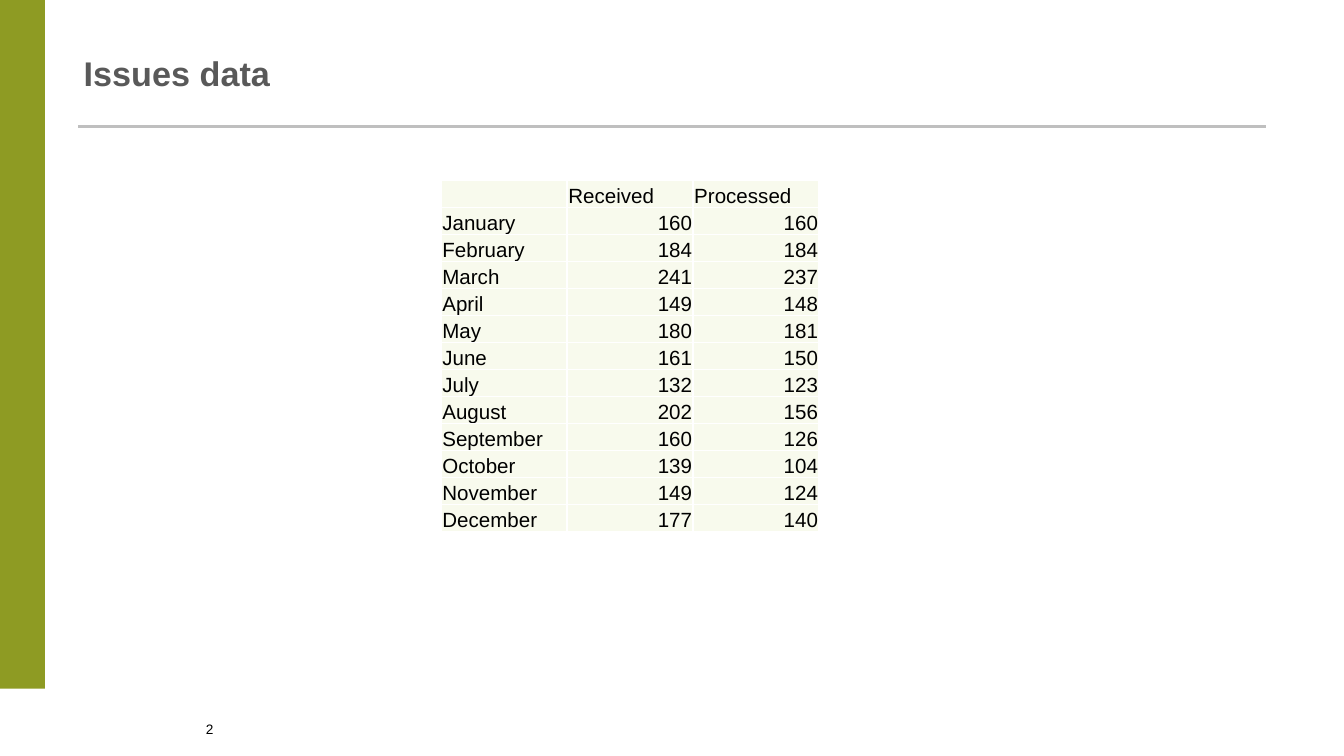
from lxml.etree import SubElement
from pptx import Presentation
from pptx.dml.color import RGBColor
from pptx.enum.shapes import MSO_CONNECTOR, MSO_SHAPE
from pptx.enum.text import MSO_ANCHOR, PP_ALIGN
from pptx.oxml.ns import qn
from pptx.util import Cm, Pt

TITLE = "Issues data"
PAGE_NUMBER = "2"
HEADER = ("", "Received", "Processed")
ISSUES = [
    ("January", 160, 160),
    ("February", 184, 184),
    ("March", 241, 237),
    ("April", 149, 148),
    ("May", 180, 181),
    ("June", 161, 150),
    ("July", 132, 123),
    ("August", 202, 156),
    ("September", 160, 126),
    ("October", 139, 104),
    ("November", 149, 124),
    ("December", 177, 140),
]
OLIVE, PALE, WHITE = "8E9B23", "F8FAED", "FFFFFF"
RULE_GREY, TITLE_GREY, BLACK = "BFBFBF", "595959", "000000"
COLUMN_WIDTH, ROW_HEIGHT = Cm(2.38), Cm(0.51)


def color(value):
    return RGBColor.from_string(value)


def style(paragraph, size, font_color, bold=False, align=PP_ALIGN.LEFT):
    paragraph.alignment = align
    for run in paragraph.runs:
        run.font.name = "Arial"
        run.font.size = Pt(size)
        run.font.bold = bold
        run.font.color.rgb = color(font_color)


def add_text(slide, text, left, top, width, height, anchor, **look):
    box = slide.shapes.add_textbox(Cm(left), Cm(top), Cm(width), Cm(height))
    frame = box.text_frame
    frame.word_wrap = True
    frame.vertical_anchor = anchor
    frame.text = text
    style(frame.paragraphs[0], **look)
    return frame


def add_borders(cell, line_color, width):
    properties = cell._tc.get_or_add_tcPr()
    for side in ("a:lnL", "a:lnR", "a:lnT", "a:lnB"):
        line = SubElement(properties, qn(side), w=str(Pt(width)))
        fill = SubElement(line, qn("a:solidFill"))
        SubElement(fill, qn("a:srgbClr"), val=line_color)


def fill_cell(cell, value):
    cell.margin_left = cell.margin_right = cell.margin_top = Cm(0.02)
    cell.margin_bottom = 0
    cell.vertical_anchor = MSO_ANCHOR.BOTTOM
    add_borders(cell, WHITE, 1)
    cell.fill.solid()
    cell.fill.fore_color.rgb = color(PALE)
    paragraph = cell.text_frame.paragraphs[0]
    paragraph.text = str(value)
    align = PP_ALIGN.RIGHT if isinstance(value, int) else PP_ALIGN.LEFT
    style(paragraph, 11, BLACK, align=align)
    if value == "":
        SubElement(paragraph._p, qn("a:endParaRPr"), sz="1100")


presentation = Presentation()
presentation.slide_width, presentation.slide_height = Cm(25.4), Cm(14.28)
slide = presentation.slides.add_slide(presentation.slide_layouts[6])

rule = slide.shapes.add_connector(
    MSO_CONNECTOR.STRAIGHT, Cm(1.48), Cm(2.39), Cm(23.92), Cm(2.39))
rule.line.color.rgb = color(RULE_GREY)
rule.line.width = Pt(2)
SubElement(rule._element.spPr, qn("a:effectLst"))

band = slide.shapes.add_shape(MSO_SHAPE.RECTANGLE, 0, 0, Cm(0.85), Cm(13.01))
band.shadow.inherit = False
band.fill.solid()
band.fill.fore_color.rgb = color(OLIVE)
band.line.fill.background()

title = add_text(slide, TITLE, 1.33, 0.59, 19.63, 1.48, MSO_ANCHOR.MIDDLE,
                 size=18.3, font_color=TITLE_GREY, bold=True)
title.paragraphs[0].line_spacing = Pt(24.4)
add_text(slide, PAGE_NUMBER, 1.07, 13.49, 5.79, 0.97, MSO_ANCHOR.TOP,
         size=7.3, font_color=BLACK, align=PP_ALIGN.CENTER)

rows = [HEADER] + ISSUES
table = slide.shapes.add_table(
    len(rows), len(HEADER), Cm(8.34), Cm(3.41),
    COLUMN_WIDTH * len(HEADER), ROW_HEIGHT * len(rows)).table
table.first_row = table.horz_banding = False
for column in table.columns:
    column.width = COLUMN_WIDTH
for row, values in zip(table.rows, rows):
    row.height = ROW_HEIGHT
    for cell, value in zip(row.cells, values):
        fill_cell(cell, value)

presentation.save("out.pptx")
